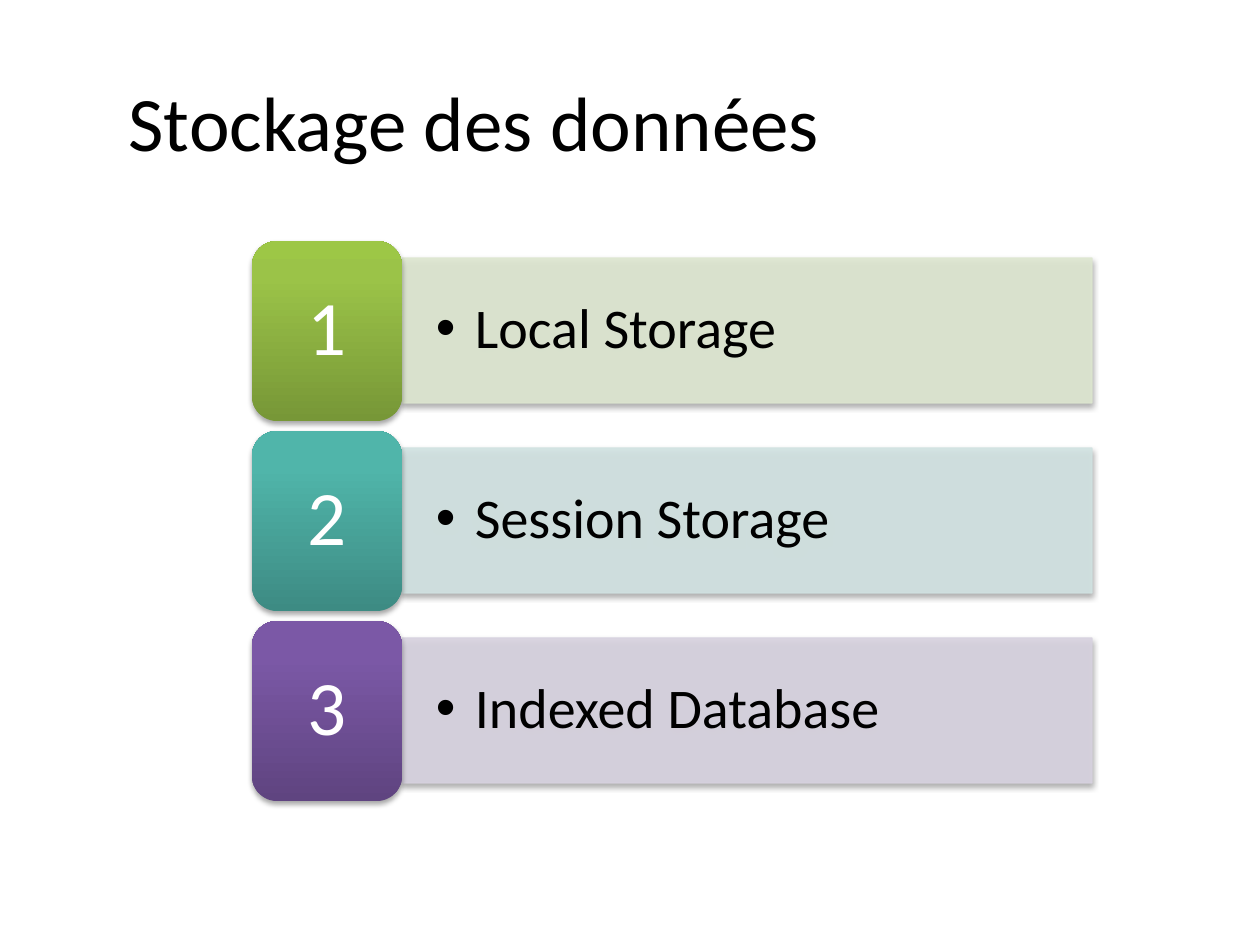
from copy import deepcopy

from lxml.etree import SubElement
from pptx import Presentation
from pptx.dml.color import RGBColor
from pptx.enum.shapes import MSO_SHAPE
from pptx.enum.text import MSO_ANCHOR, PP_ALIGN
from pptx.oxml.ns import qn
from pptx.util import Emu, Pt

EMU_PER_PX = 914400 / 126
BLACK = RGBColor(0x00, 0x00, 0x00)
WHITE = RGBColor(0xFF, 0xFF, 0xFF)
GREENS = [RGBColor(0x77, 0x97, 0x37), RGBColor(0x9B, 0xC3, 0x48), RGBColor(0x9D, 0xC7, 0x46)]
TEALS = [RGBColor(0x3D, 0x8B, 0x83), RGBColor(0x50, 0xB5, 0xAA), RGBColor(0x4E, 0xB8, 0xAC)]
PURPLES = [RGBColor(0x5F, 0x44, 0x80), RGBColor(0x7B, 0x58, 0xA6), RGBColor(0x7C, 0x57, 0xA8)]
PALE_GREEN = RGBColor(0xDE, 0xE7, 0xD1)
PALE_TEAL = RGBColor(0xD2, 0xE3, 0xE2)
PALE_PURPLE = RGBColor(0xD8, 0xD3, 0xE0)

STORAGES = [
    ("Local Storage", GREENS, PALE_GREEN),
    ("Session Storage", TEALS, PALE_TEAL),
    ("Indexed Database", PURPLES, PALE_PURPLE),
]
TILE_LEFT, TILE_TOP, TILE_WIDTH, TILE_HEIGHT = 252, 241, 150, 180
BAR_WIDTH, BAR_HEIGHT = 690, 145
ROW_PITCH = 190


def px(length):
    return Emu(round(length * EMU_PER_PX))


def add_block(kind, left, top, width, height, text, size, color):
    """Add a shape with a soft drop shadow and one line of text."""
    block = slide.shapes.add_shape(kind, px(left), px(top), px(width), px(height))
    block.shadow.inherit = False
    effects = block._element.spPr.find(qn("a:effectLst"))
    shadow = SubElement(effects, qn("a:outerShdw"), blurRad="40000", dist="23000",
                        dir="5400000", rotWithShape="0")
    black = SubElement(shadow, qn("a:srgbClr"), val="000000")
    SubElement(black, qn("a:alpha"), val="35000")
    frame = block.text_frame
    frame.word_wrap = True
    frame.vertical_anchor = MSO_ANCHOR.MIDDLE
    frame.text = text
    frame.paragraphs[0].line_spacing = 0.9
    font = frame.paragraphs[0].runs[0].font
    font.name, font.size, font.color.rgb = "Calibri", Pt(size), color
    return block


prs = Presentation()
prs.slide_width, prs.slide_height = px(1260), px(945)
slide = prs.slides.add_slide(prs.slide_layouts[5])

title = slide.shapes.title
title.left, title.top, title.width, title.height = px(116), px(42), px(1112), px(157)
title.text_frame.text = "Stockage des données"
title.text_frame.vertical_anchor = MSO_ANCHOR.MIDDLE
heading = title.text_frame.paragraphs[0]
heading.alignment = PP_ALIGN.LEFT
heading_font = heading.runs[0].font
heading_font.name, heading_font.size, heading_font.color.rgb = "Calibri", Pt(44), BLACK

for row, (storage, shades, pale) in enumerate(STORAGES):
    tile_top = TILE_TOP + row * ROW_PITCH
    bar_top = tile_top + (TILE_HEIGHT - BAR_HEIGHT) // 2

    bar = add_block(MSO_SHAPE.RECTANGLE, TILE_LEFT + TILE_WIDTH, bar_top,
                    BAR_WIDTH, BAR_HEIGHT, storage, 32, BLACK)
    bar.line.width = Pt(0.75)
    for paint in (bar.fill, bar.line.fill):
        paint.solid()
        paint.fore_color.rgb = pale
    for tint in bar._element.spPr.iter(qn("a:srgbClr")):
        if tint.get("val") == str(pale):
            SubElement(tint, qn("a:alpha"), val="90000")
    bar.text_frame.margin_left = bar.text_frame.margin_right = px(34)
    item = bar.text_frame.paragraphs[0]
    item.alignment = PP_ALIGN.LEFT
    item_format = item._p.get_or_add_pPr()
    item_format.set("marL", str(px(39)))
    item_format.set("indent", str(-px(39)))
    SubElement(item_format, qn("a:buFont"), typeface="Arial")
    SubElement(item_format, qn("a:buChar"), char="•")

    tile = add_block(MSO_SHAPE.ROUNDED_RECTANGLE, TILE_LEFT, tile_top,
                     TILE_WIDTH, TILE_HEIGHT, str(row + 1), 44, WHITE)
    tile.line.fill.background()
    tile.fill.gradient()
    tile.fill.gradient_angle = 90
    stop_list = tile._element.spPr.find(qn("a:gradFill")).find(qn("a:gsLst"))
    stop_list.append(deepcopy(stop_list[0]))
    for stop, position, shade in zip(tile.fill.gradient_stops, (0, 0.8, 1), shades):
        stop.position = position
        stop.color.rgb = shade
    tile.text_frame.paragraphs[0].alignment = PP_ALIGN.CENTER

prs.save("out.pptx")
